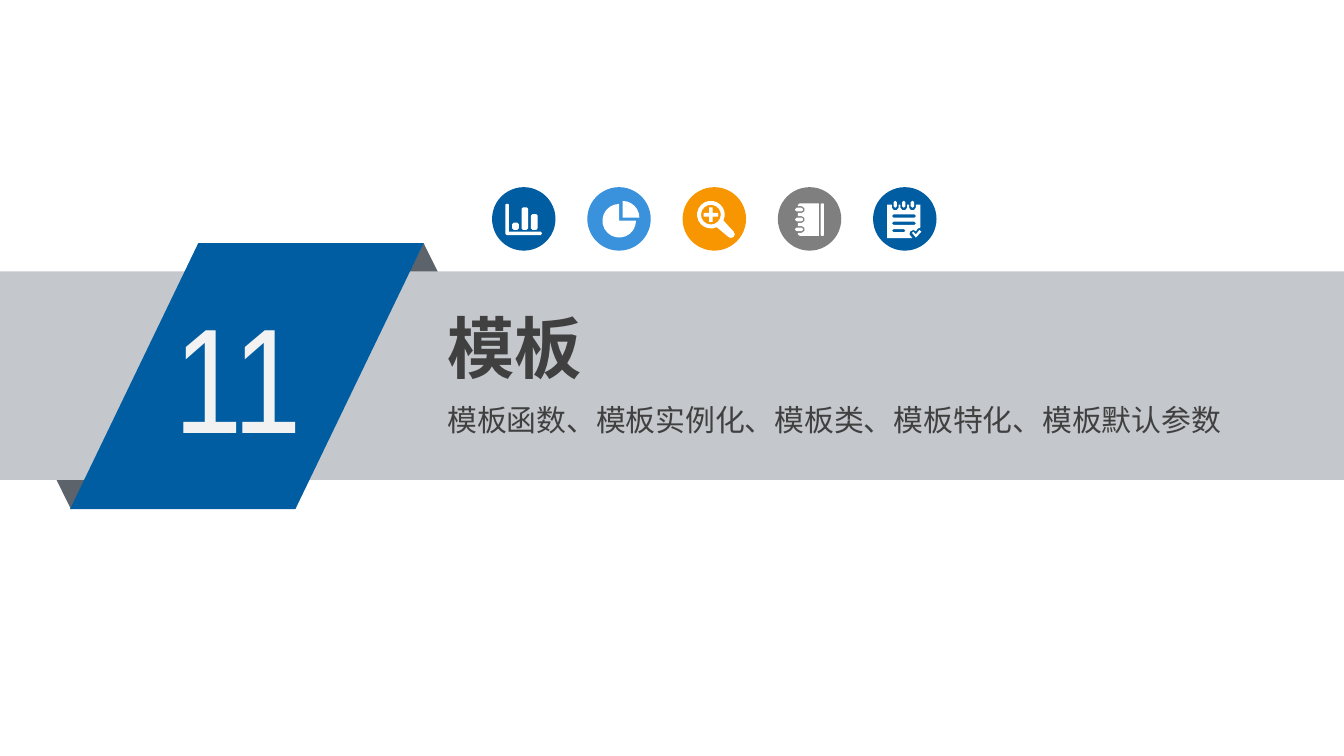
import math
from pptx import Presentation
from pptx import util as u
from pptx.dml.color import RGBColor
from pptx.enum import shapes, text
from pptx.oxml.ns import qn
from lxml import etree

BLUE = RGBColor(0x00, 0x5D, 0xA2)
SKY = RGBColor(0x39, 0x92, 0xDB)
ORANGE = RGBColor(0xF7, 0x96, 0x00)
GRAY = RGBColor(0x7F, 0x7F, 0x7F)
BAND = RGBColor(0xC4, 0xC7, 0xCB)
FOLD = RGBColor(0x5D, 0x63, 0x6A)
INK = RGBColor(0x40, 0x40, 0x40)
PALE = RGBColor(0xF2, 0xF2, 0xF2)
WHITE = RGBColor(0xFF, 0xFF, 0xFF)
SANS = "Noto Sans CJK SC"
KIND = shapes.MSO_SHAPE


def bar(left, top, width, height, cut=0.8):
    right, bottom = left + width, top + height
    return [(left + cut, top), (right - cut, top), (right, top + cut),
            (right, bottom - cut), (right - cut, bottom), (left + cut, bottom),
            (left, bottom - cut), (left, top + cut)]


def arc(center_x, center_y, radius, start, end, steps):
    angles = [math.radians(start + (end - start) * step / steps) for step in range(steps + 1)]
    return [(center_x + radius * math.cos(angle), center_y + radius * math.sin(angle))
            for angle in angles]


deck = Presentation()
deck.slide_width, deck.slide_height = u.Pt(720), u.Pt(405)
page = deck.slides.add_slide(deck.slide_layouts[5])
painted = []

for kind, place, color in (
    (KIND.ISOSCELES_TRIANGLE, (194.4, 130.2, 65, 65.5), FOLD),
    (KIND.FLOWCHART_MERGE, (5.6, 207.4, 65, 65.5), FOLD),
    (KIND.RECTANGLE, (0, 145.4, 720, 111.8), BAND),
    (KIND.PARALLELOGRAM, (37.6, 130.2, 189.4, 142.5), BLUE),
):
    if kind == KIND.FLOWCHART_MERGE:
        shape = page.shapes.add_shape(KIND.ISOSCELES_TRIANGLE, *map(u.Pt, place))
        shape.element.spPr.find(qn("a:xfrm")).set("flipV", "1")
    else:
        shape = page.shapes.add_shape(kind, *map(u.Pt, place))
    painted.append((shape, color))
shape.adjustments[0] = 0.482

number = page.shapes.add_textbox(0, 0, 0, 0)
title = page.shapes.title
title.element.getparent().append(title.element)
subtitle = page.shapes.add_textbox(0, 0, 0, 0)
for box, words, place, inset, size, name, bold, color in (
    (number, "11", (88.4, 149.4, 104.4, 102.2), 5, 80, "Arial Narrow", False, PALE),
    (title, "模板", (234, 161.3, 397.4, 49), 5.7, 36, SANS, True, INK),
    (subtitle, "模板函数、模板实例化、模板类、模板特化、模板默认参数",
     (234, 212.4, 480.2, 25.2), 5.7, 16, SANS, False, INK),
):
    for key, value in zip(("left", "top", "width", "height"), place):
        setattr(box, key, u.Pt(value))
    frame_values = {
        "word_wrap": True, "auto_size": text.MSO_AUTO_SIZE.NONE,
        "vertical_anchor": text.MSO_ANCHOR.TOP,
        "margin_left": u.Pt(inset), "margin_right": u.Pt(inset),
        "margin_top": u.Pt(3), "margin_bottom": u.Pt(3),
    }
    for key, value in frame_values.items():
        setattr(box.text_frame, key, value)
    para = box.text_frame.paragraphs[0]
    para.alignment = text.PP_ALIGN.LEFT
    span = para.add_run()
    span.text = words
    for key, value in {"size": u.Pt(size), "name": name, "bold": bold}.items():
        setattr(span.font, key, value)
    span.font.color.rgb = color
    etree.SubElement(span.font._element, qn("a:ea"), typeface=name)

bar_chart = [
    [(7.2, 9.2), (8, 8.8), (9, 9.2), (9, 23.8), (26.2, 23.8), (26.8, 24.7),
     (26.2, 25.6), (7.8, 25.6), (7.2, 25)],
]
for left, top in ((10.8, 19), (15.8, 10.8), (20.9, 14.4)):
    bar_chart.append(bar(left, top, 3.6, 22.8 - top))

pie_chart = [
    [(18.9, 16.4)] + arc(18.9, 16.4, 9, 270, 360, 6),
    [(17.1, 18)] + arc(17.1, 18, 9, 0, 270, 16),
]

magnifier = [
    arc(15.2, 14.7, 7.4, 65, 385, 18)
    + [(27.3, 23.7), (28, 25.2), (27.4, 26.6), (25.9, 27.2), (24.5, 26.6)],
    arc(15.2, 14.7, 5.3, 0, 345, 15),
    [(14.2, 10.8), (16.2, 10.8), (16.2, 13.7), (19.1, 13.7), (19.1, 15.7), (16.2, 15.7),
     (16.2, 18.6), (14.2, 18.6), (14.2, 15.7), (11.3, 15.7), (11.3, 13.7), (14.2, 13.7)],
]

body = [(22, 26.1), (22, 8.6), (11.8, 8.6), (10.8, 9.4)]
rings = []
for row in range(3):
    top = 10.2 + 5.3 * row
    body += [(10.8, top), (12.9, top), (14.3, top + 1), (14.3, top + 2.6),
             (12.9, top + 3.6), (10.8, top + 3.6)]
    rings.append(bar(9.3, top + 0.8, 4.3, 2))
body += [(10.8, 25.3), (11.8, 26.1)]
notebook = [body, bar(23, 8.6, 1.7, 17.5, 0.4)] + rings

sheet = [(7.6, 9.4)]
notepad = [[(20.9, 24.5), (21.6, 23.8), (23, 25.2), (24.8, 23), (25.9, 23.8), (23, 27)]]
for column in range(3):
    left = 10.1 + 4.6 * column
    sheet += [(left, 9.4), (left, 11), (left + 1, 12.3), (left + 2.6, 12.3),
              (left + 3.6, 11), (left + 3.6, 9.4)]
    notepad.append(bar(left + 0.9, 7.3, 1.8, 3.7))
sheet += [(25.4, 9.4), (25.4, 21.6), (24, 22.2), (23, 23.6), (21.6, 22.9),
          (19.8, 23.8), (19.6, 25.4), (21.1, 27.3), (7.6, 27.3)]
for row, width in enumerate((12.8, 12.8, 7.2)):
    notepad.append(bar(10.2, 14.6 + 3.9 * row, width, 1.7))
notepad.insert(0, sheet)

disc_top, disc_size, disc_step = 100.3, 34, 51.03
icons = [(BLUE, bar_chart), (SKY, pie_chart), (ORANGE, magnifier),
         (GRAY, notebook), (BLUE, notepad)]
for index, (color, outlines) in enumerate(icons):
    disc_left = 263.6 + disc_step * index
    disc = page.shapes.add_shape(
        KIND.OVAL, u.Pt(disc_left), u.Pt(disc_top), u.Pt(disc_size), u.Pt(disc_size))
    painted.append((disc, color))
    builder = None
    for outline in outlines:
        corners = [(u.Pt(disc_left + x), u.Pt(disc_top + y)) for x, y in outline]
        if builder is None:
            builder = page.shapes.build_freeform(*corners[0])
        else:
            builder.move_to(*corners[0])
        builder.add_line_segments(corners[1:], close=True)
    painted.append((builder.convert_to_shape(), WHITE))

for shape, color in painted:
    shape.shadow.inherit = False
    shape.fill.solid()
    shape.fill.fore_color.rgb = color
    shape.line.fill.background()

deck.save("out.pptx")
